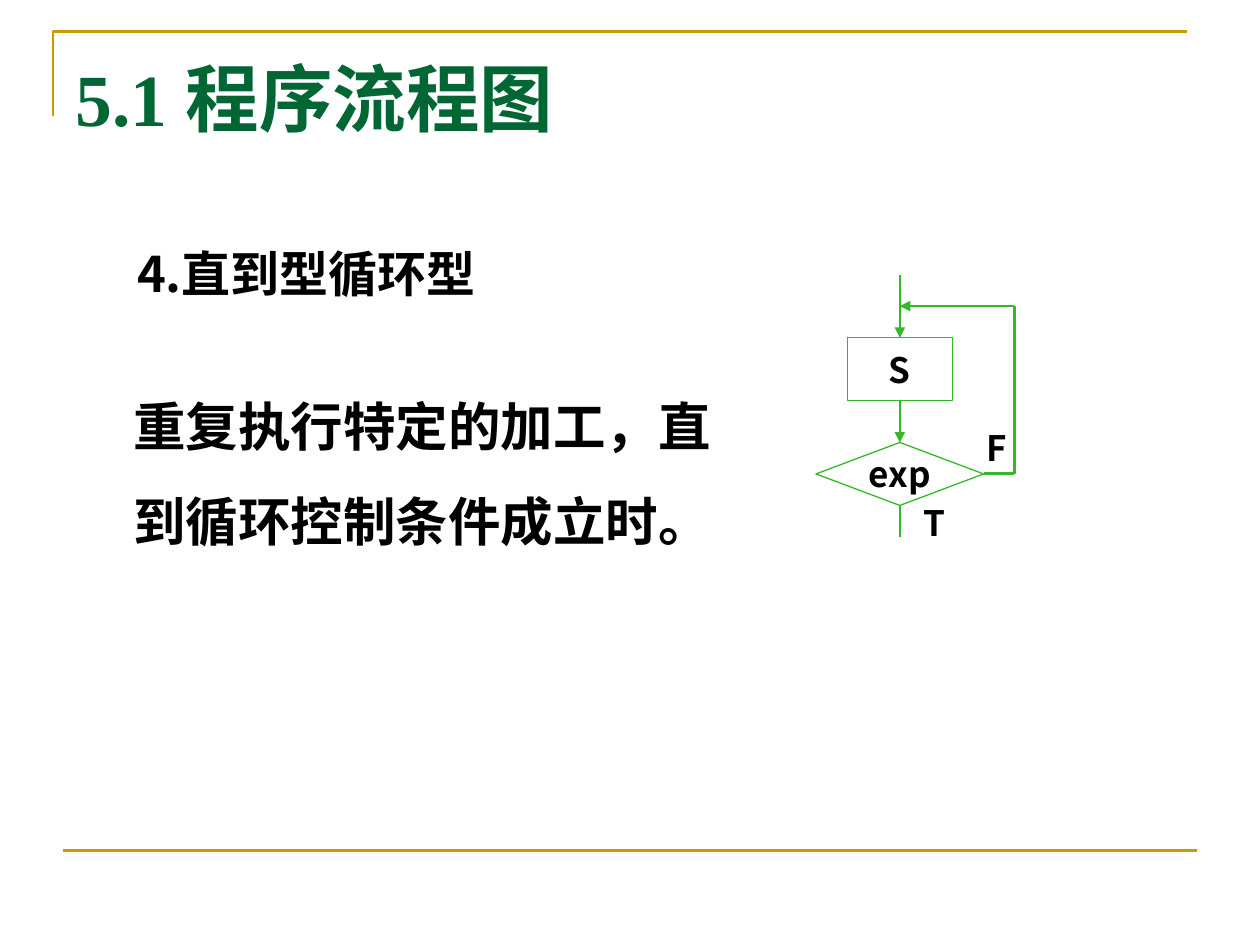
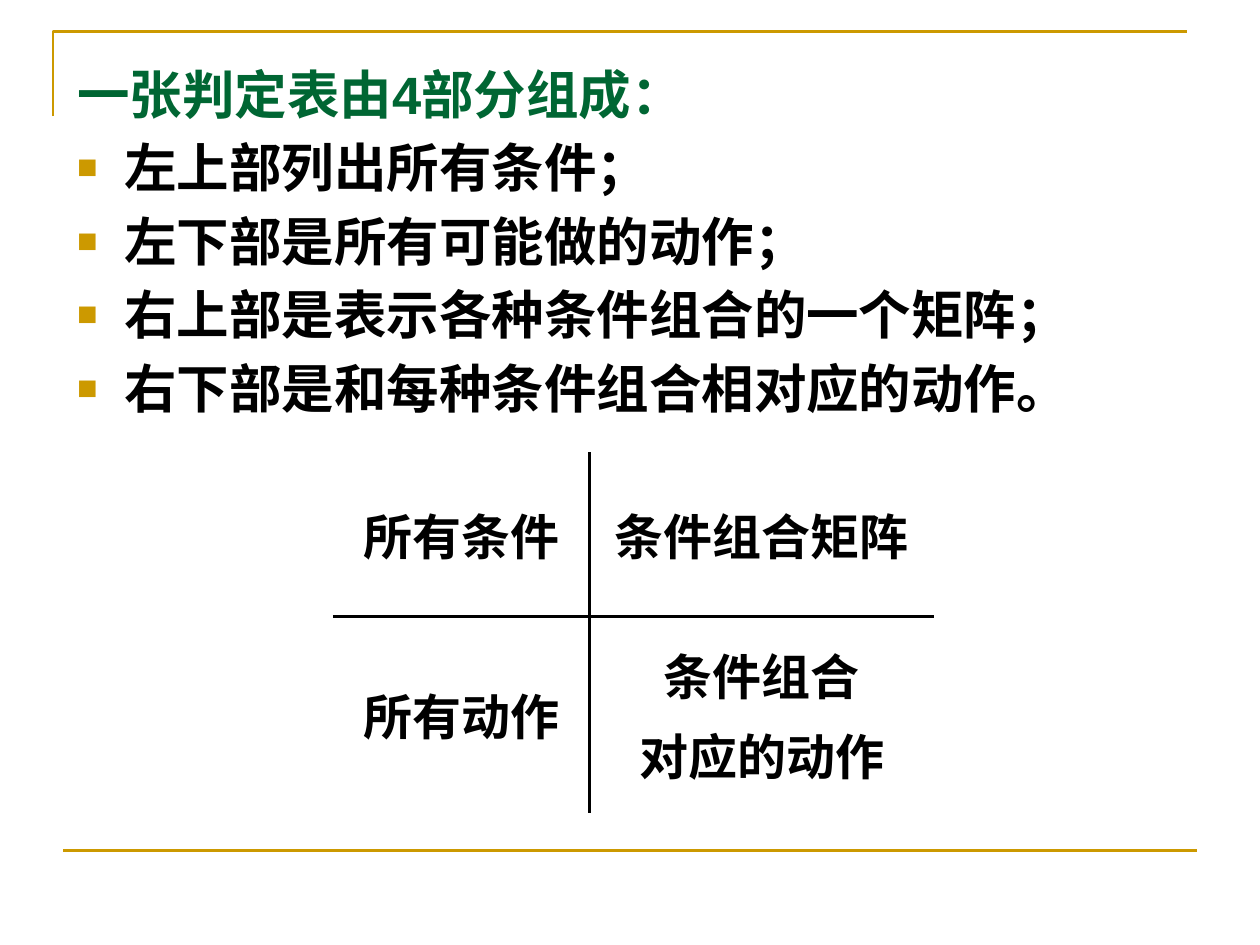
from lxml import etree
from pptx import Presentation
from pptx import util as u
from pptx.dml.color import RGBColor
from pptx.enum import shapes, text
from pptx.oxml.ns import qn

COLORS = {"gold": "CC9900", "title": "006633", "flow": "32B828", "ink": "000000", "paper": "FFFFFF"}
CJK = "Noto Sans CJK SC"


def style(paragraph, size, latin, color="ink", align=None):
    font = paragraph.font
    font.size, font.bold, font.name = u.Pt(size), True, latin
    font.color.rgb = RGBColor.from_string(COLORS[color])
    etree.SubElement(font._element, qn("a:ea"), typeface=CJK)
    if align is not None:
        paragraph.alignment = align


def add_line(container, start, end, color, arrow=None):
    points = [u.Cm(value) for value in (*start, *end)]
    line = container.add_connector(shapes.MSO_CONNECTOR.STRAIGHT, *points)
    line.line.color.rgb = RGBColor.from_string(COLORS[color])
    line.line.width = u.Pt(1.5)
    if arrow:
        etree.SubElement(line.line._get_or_add_ln(), qn(f"a:{arrow}"), type="triangle")
    etree.SubElement(line._element.spPr, qn("a:effectLst"))
    return line


presentation = Presentation()
presentation.slide_width, presentation.slide_height = u.Cm(25.4), u.Cm(19.05)
CENTER = text.PP_ALIGN.CENTER
flow_slide = presentation.slides.add_slide(presentation.slide_layouts[5])
table_slide = presentation.slides.add_slide(presentation.slide_layouts[1])

# Shared frame, moved to the slide master
builder = flow_slide.shapes.build_freeform(u.Cm(1.07), u.Cm(2.34))
builder.add_line_segments([(u.Cm(1.07), u.Cm(0.64)), (u.Cm(23.93), u.Cm(0.64))], close=False)
corner = builder.convert_to_shape()
corner.shadow.inherit = False
corner.fill.background()
corner.line.color.rgb = RGBColor.from_string(COLORS["gold"])
corner.line.width = u.Pt(1.5)
footer_line = add_line(flow_slide.shapes, (1.27, 17.15), (24.13, 17.15), "gold")
for shape in (corner, footer_line):
    presentation.slide_master.element.cSld.spTree.append(shape._element)

# Slide 1: title
title = flow_slide.shapes.title
title.left, title.top, title.width, title.height = u.Cm(1.27), u.Cm(0.99), u.Cm(22.86), u.Cm(1.98)
title.text_frame.text = "5.1 程序流程图"
title.text_frame.auto_size = text.MSO_AUTO_SIZE.NONE
title.text_frame.vertical_anchor = text.MSO_ANCHOR.BOTTOM
style(title.text_frame.paragraphs[0], 42, "Times New Roman", "title", text.PP_ALIGN.LEFT)

# Slide 1: loop type and its explanation
explanations = [
    ("4.直到型循环型", (2.44, 4.78, 7.47, 1.45), 28, CJK, CENTER, 1),
    ("重复执行特定的加工，直到循环控制条件成立时。", (2.44, 7.19, 12.57, 4.09), 30, "Arial", None, 1.5),
]
for words, box, size, latin, align, spacing in explanations:
    frame = flow_slide.shapes.add_textbox(*map(u.Cm, box)).text_frame
    frame.word_wrap = True
    frame.text = words
    frame.paragraphs[0].line_spacing = spacing
    style(frame.paragraphs[0], size, latin, align=align)

# Slide 1: until-loop flowchart
axis, back, joint, test = 18.14, 20.45, 6.17, 9.55
flowchart = flow_slide.shapes.add_group_shape().shapes
flow_lines = [
    ((axis, 5.54), (axis, 6.81), "tailEnd"),
    ((axis, 8.08), (axis, 8.92), "tailEnd"),
    ((axis, 10.19), (axis, 10.82), None),
    ((axis, joint), (back, joint), "headEnd"),
    ((back, joint), (back, test), None),
    ((19.83, test), (back, test), None),
]
for start, end, arrow in flow_lines:
    add_line(flowchart, start, end, "flow", arrow)

nodes = [
    ("S", shapes.MSO_SHAPE.RECTANGLE, 6.81, 2.12),
    ("exp", shapes.MSO_SHAPE.FLOWCHART_DECISION, 8.92, 3.38),
]
for words, kind, top, width in nodes:
    node = flowchart.add_shape(kind, u.Cm(axis - width / 2), u.Cm(top), u.Cm(width), u.Cm(1.27))
    node.shadow.inherit = False
    node.fill.solid()
    node.fill.fore_color.rgb = RGBColor.from_string(COLORS["paper"])
    node.line.color.rgb = RGBColor.from_string(COLORS["flow"])
    node.line.width = u.Pt(0.75)
    node.text_frame.text = words
    node.text_frame.word_wrap = False
    node.text_frame.vertical_anchor = text.MSO_ANCHOR.MIDDLE
    style(node.text_frame.paragraphs[0], 20, CJK, align=CENTER)

for words, left, top in [("F", 19.63, 8.48), ("T", 18.36, 9.98)]:
    frame = flowchart.add_textbox(u.Cm(left), u.Cm(top), u.Cm(0.86), u.Cm(1.09)).text_frame
    frame.word_wrap = False
    frame.text = words
    style(frame.paragraphs[0], 20, CJK, align=CENTER)

# Slide 2: heading and bullet list in the body
title = table_slide.shapes.title
title._element.getparent().remove(title._element)
body = table_slide.placeholders[1]
body.left, body.top, body.width, body.height = u.Cm(1.3), u.Cm(1.12), u.Cm(22.86), u.Cm(8.81)
body.text_frame.auto_size = text.MSO_AUTO_SIZE.NONE
body.text_frame.text = "\n".join([
    "一张判定表由4部分组成：",
    "左上部列出所有条件；",
    "左下部是所有可能做的动作；",
    "右上部是表示各种条件组合的一个矩阵；",
    "右下部是和每种条件组合相对应的动作。",
])
for index, paragraph in enumerate(body.text_frame.paragraphs):
    properties = paragraph._element.get_or_add_pPr()
    properties.set("marL", str(u.Cm(0.95)))
    properties.set("indent", str(-u.Cm(0.95)))
    if index == 0:
        etree.SubElement(properties, qn("a:buNone"))
    else:
        bullet_color = etree.SubElement(properties, qn("a:buClr"))
        etree.SubElement(bullet_color, qn("a:srgbClr"), val=COLORS["gold"])
        etree.SubElement(properties, qn("a:buSzPct"), val="65000")
        etree.SubElement(properties, qn("a:buFont"), typeface="Arial")
        etree.SubElement(properties, qn("a:buChar"), char="■")
    paragraph.space_before = u.Pt(6)
    style(paragraph, 30, "Arial", "ink" if index else "title")

# Slide 2: the four parts of a decision table
parts = [["所有条件", "条件组合矩阵"], ["所有动作", "条件组合\n对应的动作"]]
inner_borders = [[("lnR", "lnB"), ("lnL", "lnB")], [("lnR", "lnT"), ("lnL", "lnT")]]
table = table_slide.shapes.add_table(2, 2, u.Cm(6.71), u.Cm(9.12), u.Cm(12.11), u.Cm(7.26)).table
table.first_row = table.horz_banding = False
no_grid = "{2D5ABB26-0587-4C30-8999-92F81FD0307C}"
table._tbl.tblPr.find(qn("a:tableStyleId")).text = no_grid
for column, width in zip(table.columns, (5.18, 6.93)):
    column.width = u.Cm(width)
for row, height in zip(table.rows, (3.3, 3.96)):
    row.height = u.Cm(height)
for row_index, row in enumerate(parts):
    for column_index, words in enumerate(row):
        cell = table.cell(row_index, column_index)
        cell.text = words
        cell.vertical_anchor = text.MSO_ANCHOR.MIDDLE
        for side in inner_borders[row_index][column_index]:
            border = etree.SubElement(cell._tc.get_or_add_tcPr(), qn(f"a:{side}"), w=str(u.Pt(2)))
            fill = etree.SubElement(border, qn("a:solidFill"))
            etree.SubElement(fill, qn("a:srgbClr"), val=COLORS["ink"])
        cell.fill.background()
        for paragraph in cell.text_frame.paragraphs:
            paragraph.space_before = u.Pt(5.6)
            style(paragraph, 28, "Times New Roman", align=CENTER)

presentation.save("out.pptx")
